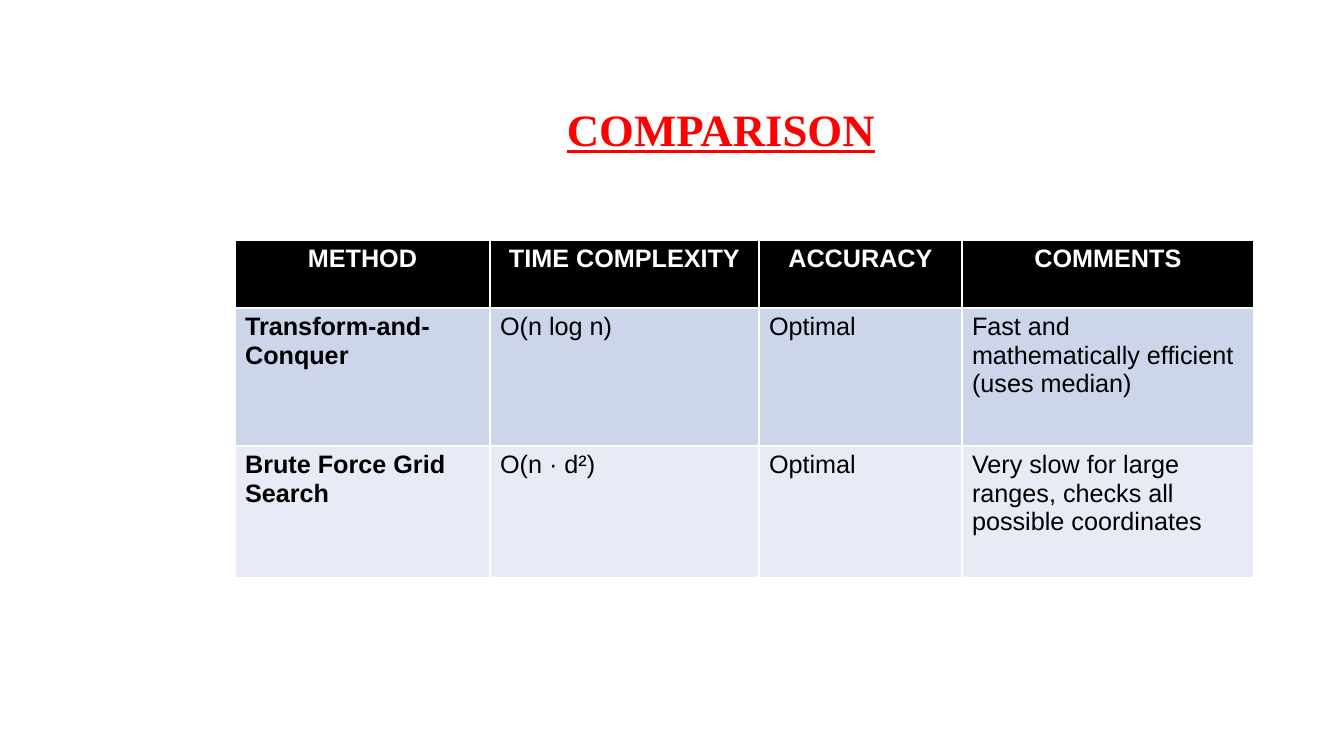
import pptx
import pptx.util
import pptx.dml.color
import pptx.enum.text

RGB = pptx.dml.color.RGBColor
RED = RGB(0xFF, 0x00, 0x00)
BLACK = RGB(0x00, 0x00, 0x00)
WHITE = RGB(0xFF, 0xFF, 0xFF)
BLUE = RGB(0xCC, 0xD5, 0xEA)
PALE = RGB(0xE7, 0xEB, 0xF5)

SCALE = 914400 / 100.8  # EMU in one px


def px(n):
    return pptx.util.Emu(round(n * SCALE))


class Page:
    head = "Times New Roman"
    body = "Arial"

    def __init__(self, deck):
        self.slide = deck.slides.add_slide(deck.slide_layouts[6])

    def style(self, par, font, size, color, bold):
        for run in par.runs:
            run.font.name = font
            run.font.size = pptx.util.Pt(size)
            run.font.color.rgb = color
            run.font.bold = bold

    def title(self, text, x, y, w, h, indent):
        box = self.slide.shapes.add_textbox(px(x), px(y), px(w), px(h))
        frame = box.text_frame
        frame.word_wrap = True
        frame.auto_size = pptx.enum.text.MSO_AUTO_SIZE.SHAPE_TO_FIT_TEXT
        frame.text = text
        par = frame.paragraphs[0]
        par._p.get_or_add_pPr().set("marL", str(px(indent)))
        self.style(par, self.head, 32, RED, True)
        par.runs[0].font.underline = True

    def table(self, rows, x, y, wide, high, fills):
        grid = self.slide.shapes.add_table(
            len(rows), len(wide), px(x), px(y), px(sum(wide)), px(sum(high))
        ).table
        for col, w in zip(grid.columns, wide):
            col.width = px(w)
        for r, texts in enumerate(rows):
            grid.rows[r].height = px(high[r])
            for c, text in enumerate(texts):
                self.cell(grid.cell(r, c), text, fills[r], r == 0, c == 0)

    def cell(self, cell, text, fill, top, first):
        cell.fill.solid()
        cell.fill.fore_color.rgb = fill
        cell.text_frame.text = text
        par = cell.text_frame.paragraphs[0]
        if top:
            par.alignment = pptx.enum.text.PP_ALIGN.CENTER
        self.style(par, self.body, 18, WHITE if top else BLACK, top or first)


def main():
    deck = pptx.Presentation()
    deck.slide_width, deck.slide_height = px(1344), px(756)
    page = Page(deck)

    # Heading
    page.title("COMPARISON", 232, 97, 991, 64, indent=325)

    # Methods side by side
    rows = [
        ("METHOD", "TIME COMPLEXITY", "ACCURACY", "COMMENTS"),
        ("Transform-and-Conquer", "O(n log n)", "Optimal",
         "Fast and mathematically efficient (uses median)"),
        ("Brute Force Grid Search", "O(n · d²)", "Optimal",
         "Very slow for large ranges, checks all possible coordinates"),
    ]
    page.table(rows, 235, 240, wide=(255, 269, 203, 292),
               high=(68, 138, 132), fills=(BLACK, BLUE, PALE))

    deck.save("out.pptx")


if __name__ == "__main__":
    main()
